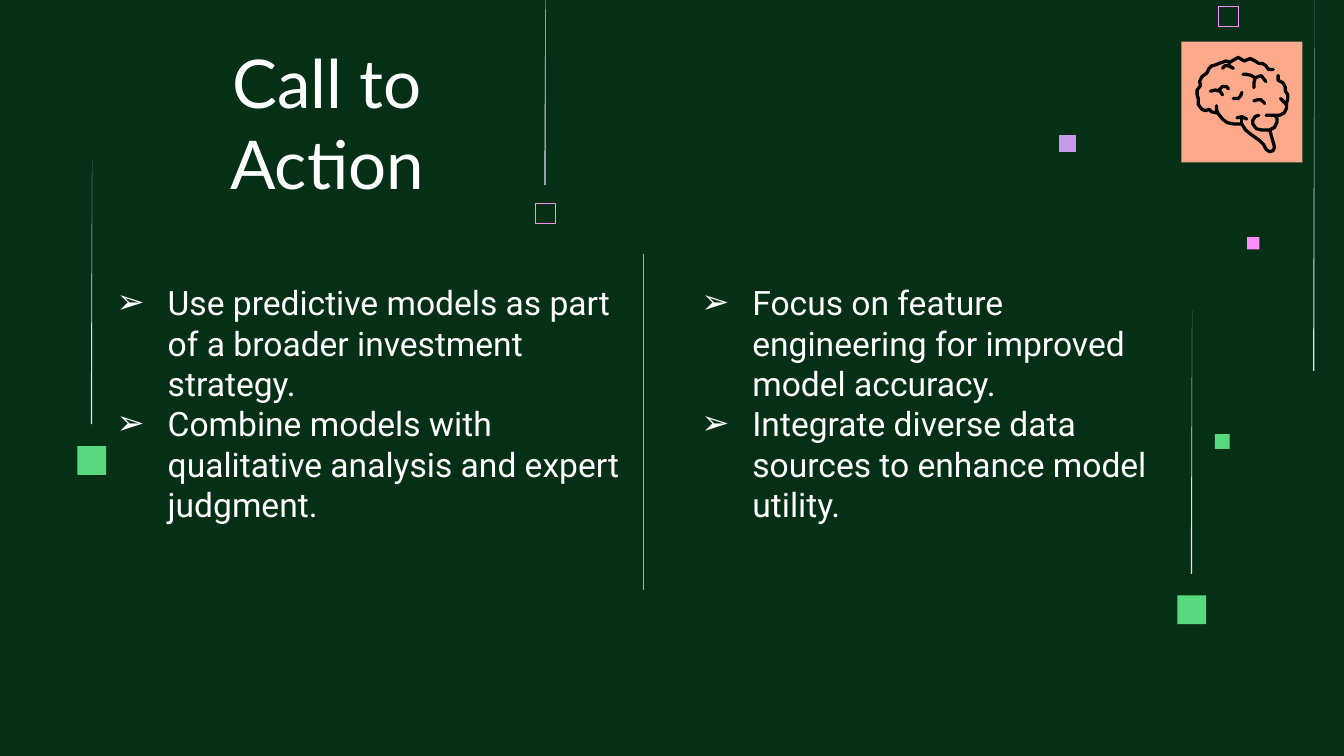
from dataclasses import dataclass

from lxml import etree
from pptx import Presentation
from pptx import util as u
from pptx.dml.color import RGBColor
from pptx.enum import shapes, text
from pptx.oxml.ns import qn

FOREST = RGBColor(0x06, 0x30, 0x15)
GREEN = RGBColor(0x57, 0xD8, 0x7C)
LILAC = RGBColor(0xC7, 0x99, 0xEB)
PINK = RGBColor(0xFD, 0x8D, 0xFD)
PALE = RGBColor(0xEE, 0xD7, 0xFF)
DIVIDER = RGBColor(0xC3, 0x94, 0xE8)
PEACH = RGBColor(0xFD, 0xAA, 0x8C)
WHITE = RGBColor(0xFF, 0xFF, 0xFF)
BLACK = RGBColor(0, 0, 0)

CELL = u.Inches(0.1)
COLUMNS, ROWS = 100, 56.25

LEFT_POINTS = [
    "Use predictive models as part of a broader investment strategy.",
    "Combine models with qualitative analysis and expert judgment.",
]
RIGHT_POINTS = [
    "Focus on feature engineering for improved model accuracy.",
    "Integrate diverse data sources to enhance model utility.",
]
SOLID_SQUARES = [
    (78.8, 10.05, 1.25, LILAC),
    (90.4, 32.3, 1.1, GREEN),
    (92.8, 17.65, 0.9, PINK),
    (87.6, 44.3, 2.15, GREEN),
    (5.75, 33.2, 2.15, GREEN),
]
OUTLINED_SQUARES = [(90.65, 0.45, 1.5), (39.85, 15.1, 1.5)]
STREAKS = [(40.5, -4.8, 18.55), (97.7, 0, 27.6), (88.6, 23.1, 19.6), (6.75, 11.9, 19.65)]
BRAIN_STROKES = [
    [(76, 23), (72, 23), (70, 20), (67, 18), (64, 18), (61, 16), (57, 14), (52, 16),
     (47, 13), (40, 17), (37, 16), (31, 18), (29, 19), (25, 20), (23, 22), (21, 26),
     (17, 29), (15, 33), (16, 36), (13, 40), (13, 44), (14, 47), (14, 52), (17, 56),
     (20, 57), (23, 56), (25, 58), (30, 59), (34, 64), (38, 67), (43, 68), (50, 68),
     (53, 73), (58, 77), (65, 82), (68, 85), (70, 89), (73, 91), (76, 90), (77, 87),
     (73, 73)],
    [(80, 28), (80, 32), (84, 34), (86, 38), (86, 41), (88, 44), (88, 47), (87, 51),
     (87, 55), (85, 59), (81, 61), (77, 61), (70, 61)],
    [(64, 61), (61, 62), (59, 65), (59, 68), (62, 72), (66, 73), (73, 73), (77, 71),
     (79, 67), (79, 63), (77, 61)],
    [(82, 47), (84, 49), (87, 52)],
    [(46, 63), (50, 62), (54, 64)],
    [(50, 62), (50, 68)],
    [(29, 53), (29, 56), (30, 59)],
    [(34, 22), (36, 20), (39, 20), (43, 22)],
    [(40, 17), (39, 20)],
    [(51, 27), (54, 27), (58, 28), (61, 30), (66, 28), (70, 33)],
    [(61, 30), (60, 34), (60, 38)],
    [(24, 41), (28, 40), (32, 41), (34, 44)],
    [(31, 40), (34, 37), (37, 37), (39, 39)],
    [(60, 49), (63, 48), (66, 48), (69, 51)],
    [(43, 47), (47, 47), (49, 45), (50, 42)],
]


@dataclass
class Box:
    """A rectangle measured in grid columns and rows."""

    left: float
    top: float
    width: float
    height: float

    def at(self, across, down):
        """Return the point at the given shares of the box."""
        return (round((self.left + across * self.width) * CELL),
                round((self.top + down * self.height) * CELL))

    def frame(self):
        """Return left, top, width and height as lengths."""
        return [round(size * CELL) for size in (self.left, self.top, self.width, self.height)]


def add_square(page, box, fill=None):
    """Add a solid square, or a thin pink outline when no fill is given."""
    square = page.shapes.add_shape(shapes.MSO_SHAPE.RECTANGLE, *box.frame())
    square.shadow.inherit = False
    if fill is None:
        square.fill.background()
        square.line.color.rgb = PINK
        square.line.width = u.Pt(0.32)
    else:
        square.fill.solid()
        square.fill.fore_color.rgb = fill
        square.line.fill.background()


def add_outline(page, box, points, close):
    """Add a freeform through points given as shares of the box."""
    start, *others = [box.at(*point) for point in points]
    builder = page.shapes.build_freeform(*start)
    builder.add_line_segments(others, close=close)
    outline = builder.convert_to_shape()
    outline.shadow.inherit = False
    return outline


def add_streak(page, box):
    """Add a sliver that tapers to a point at its top."""
    streak = add_outline(page, box, [(1, 0), (0, 1), (1, 1)], True)
    streak.fill.solid()
    streak.fill.fore_color.rgb = PALE
    streak.line.fill.background()


def add_decoration(page):
    """Scatter the squares and streaks over the background."""
    for left, top, side, color in SOLID_SQUARES:
        add_square(page, Box(left, top, side, side), color)
    for left, top, side in OUTLINED_SQUARES:
        add_square(page, Box(left, top, side, side))
    for left, top, height in STREAKS:
        add_streak(page, Box(left, top, 0.1, height))


def add_brain(page, box):
    """Draw the brain icon on its tile."""
    add_square(page, box, PEACH)
    for points in BRAIN_STROKES:
        shares = [(across / 100, down / 100) for across, down in points]
        stroke = add_outline(page, box, shares, False)
        stroke.fill.background()
        stroke.line.color.rgb = BLACK
        stroke.line.width = u.Pt(1.75)
        line = stroke.line._get_or_add_ln()
        line.set("cap", "rnd")
        etree.SubElement(line, qn("a:round"))


def set_frame(frame, anchor):
    """Wrap the text inside equal margins."""
    frame.word_wrap = True
    frame.auto_size = text.MSO_AUTO_SIZE.NONE
    frame.vertical_anchor = anchor
    frame.margin_left = frame.margin_right = CELL
    frame.margin_top = frame.margin_bottom = CELL


def set_font(para, name, size):
    """Format every run of a paragraph in white."""
    for span in para.runs:
        span.font.name = name
        span.font.size = u.Pt(size)
        span.font.color.rgb = WHITE


def add_title(page, box):
    """Place and format the title."""
    title = page.shapes.title
    title.left, title.top, title.width, title.height = box.frame()
    set_frame(title.text_frame, text.MSO_ANCHOR.BOTTOM)
    title.text_frame.text = "Call to Action"
    para = title.text_frame.paragraphs[0]
    para.alignment = text.PP_ALIGN.CENTER
    set_font(para, "Lato", 36)


def add_bullet(para):
    """Give a paragraph a white arrow bullet and a hanging indent."""
    properties = para._p.get_or_add_pPr()
    properties.set("marL", str(u.Inches(0.5)))
    properties.set("indent", str(u.Inches(-0.38)))
    color = etree.SubElement(properties, qn("a:buClr"))
    etree.SubElement(color, qn("a:srgbClr"), val=str(WHITE))
    etree.SubElement(properties, qn("a:buFont"), typeface="Roboto")
    etree.SubElement(properties, qn("a:buChar"), char="➢")


def add_points(page, box, points):
    """Add one column of bulleted points."""
    frame = page.shapes.add_textbox(*box.frame()).text_frame
    set_frame(frame, text.MSO_ANCHOR.TOP)
    frame.text = "\n".join(points)
    for para in frame.paragraphs:
        add_bullet(para)
        set_font(para, "Roboto", 18)


def add_divider(page, box):
    """Draw the rule between the columns down the left edge of the box."""
    rule = page.shapes.add_connector(
        shapes.MSO_CONNECTOR.STRAIGHT, *box.at(0, 0), *box.at(0, 1))
    rule.line.color.rgb = DIVIDER
    rule.line.width = u.Pt(0.75)
    etree.SubElement(rule._element.spPr, qn("a:effectLst"))


def main():
    """Build and save the deck."""
    deck = Presentation()
    deck.slide_width, deck.slide_height = Box(0, 0, COLUMNS, ROWS).frame()[2:]
    page = deck.slides.add_slide(deck.slide_layouts[5])
    page.background.fill.solid()
    page.background.fill.fore_color.rgb = FOREST
    add_decoration(page)
    add_title(page, Box(10, 6.9, 28.7, 9.2))
    add_points(page, Box(6.5, 20, 41.4, 27.9), LEFT_POINTS)
    add_points(page, Box(50, 20, 39, 27.9), RIGHT_POINTS)
    add_divider(page, Box(47.9, 18.9, 0, 25))
    add_brain(page, Box(87.9, 3.1, 9, 9))
    deck.save("out.pptx")


if __name__ == "__main__":
    main()
